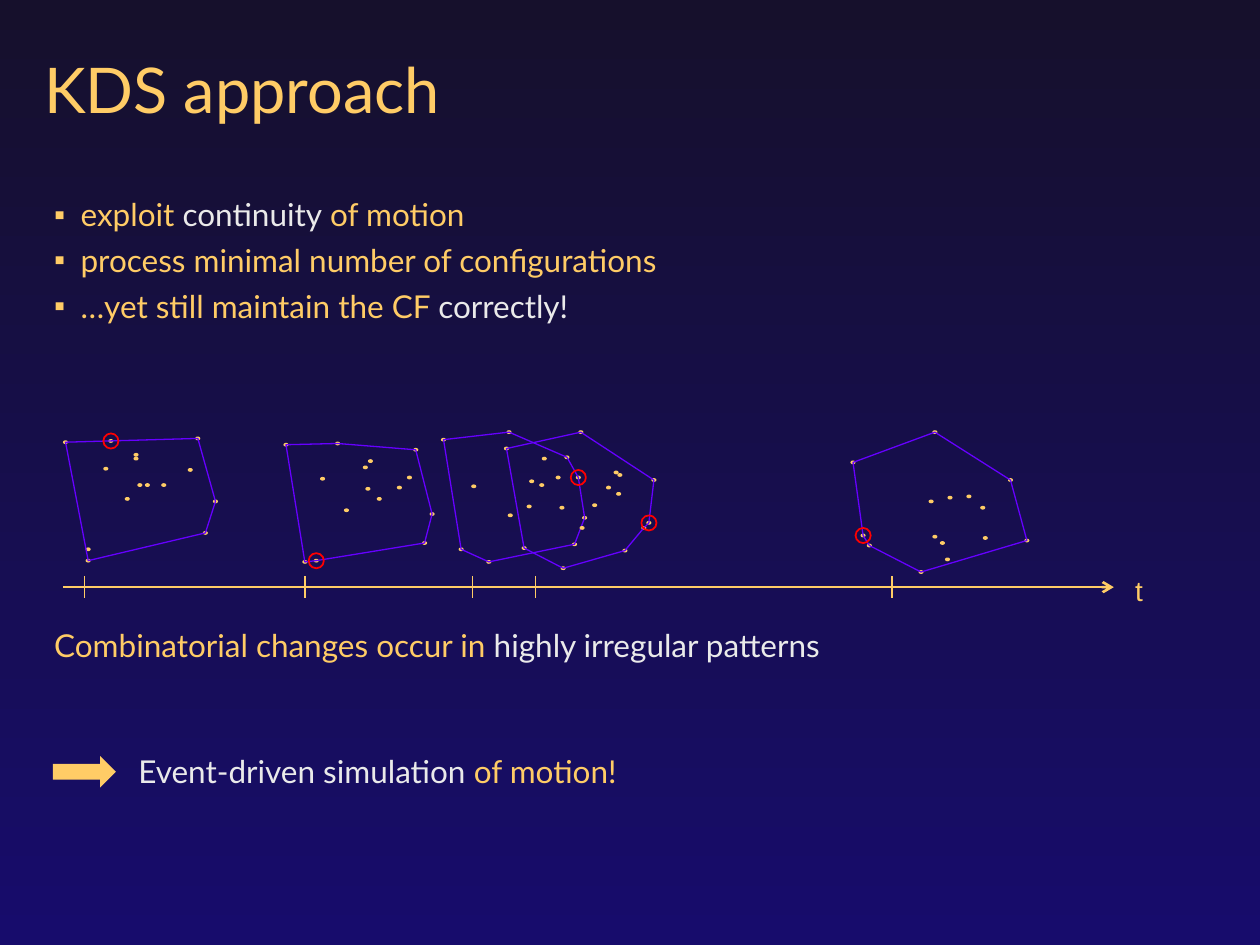
from lxml import etree
from pptx import Presentation, util as u
from pptx.dml.color import RGBColor
from pptx.enum import shapes, text
from pptx.oxml.ns import qn

GOLD = RGBColor(0xFF, 0xCC, 0x66)
PALE = RGBColor(0xEA, 0xEA, 0xEA)
VIOLET = RGBColor(0x66, 0x00, 0xFF)
RED = RGBColor(0xFF, 0x00, 0x00)
NIGHT = RGBColor(0x16, 0x10, 0x2C)
INDIGO = RGBColor(0x17, 0x0C, 0x6C)

TITLE = [[("KDS approach", GOLD)]]
GOALS = [
    [("exploit ", GOLD), ("continuity", PALE), (" of motion", GOLD)],
    [("process minimal number of configurations", GOLD)],
    [("…yet still maintain the CF ", GOLD), ("correctly!", PALE)],
]
FINDING = [[("Combinatorial changes occur in ", GOLD), ("highly irregular patterns", PALE)]]
CONCLUSION = [[("Event-driven simulation", PALE), (" of motion!", GOLD)]]

# Each event: time on the axis, hull corners, index of the changing corner, inner points
EVENTS = [
    dict(time=0.67, changing=1,
         hull=[(0.52, 3.51), (0.88, 3.5), (1.57, 3.48), (1.71, 3.98), (1.63, 4.23), (0.7, 4.45)],
         inner=[(1.51, 3.73), (0.7, 4.36), (1.3, 3.85), (1.08, 3.64), (1.17, 3.85),
                (1.11, 3.85), (1.01, 3.96), (0.84, 3.72), (1.08, 3.61)]),
    dict(time=2.42, changing=5,
         hull=[(2.27, 3.53), (2.68, 3.52), (3.3, 3.57), (3.43, 4.08), (3.37, 4.31),
               (2.51, 4.45), (2.42, 4.46)],
         inner=[(3.25, 3.79), (3.17, 3.87), (2.94, 3.66), (3.01, 3.96), (2.92, 3.88),
                (2.75, 4.05), (2.56, 3.8), (2.9, 3.71)]),
    dict(time=3.75, changing=3,
         hull=[(3.52, 3.49), (4.04, 3.43), (4.5, 3.63), (4.59, 3.79), (4.64, 4.11),
               (4.56, 4.32), (3.88, 4.46), (3.66, 4.36)],
         inner=[(4.43, 3.79), (4.32, 3.64), (4.46, 4.03), (4.3, 3.85), (4.05, 4.09),
                (3.76, 3.86), (4.22, 3.82)]),
    dict(time=4.25, changing=3,
         hull=[(4.02, 3.56), (4.61, 3.43), (5.19, 3.81), (5.15, 4.15), (5.11, 4.19),
               (4.96, 4.37), (4.47, 4.51), (4.16, 4.35)],
         inner=[(4.92, 3.77), (4.83, 3.87), (4.89, 3.75), (4.91, 3.92), (4.62, 4.19),
                (4.2, 4.02), (4.72, 4.01)]),
    dict(time=7.08, changing=6,
         hull=[(6.77, 3.67), (7.42, 3.43), (8.02, 3.81), (8.15, 4.29), (7.31, 4.54),
               (6.9, 4.33), (6.85, 4.25)],
         inner=[(7.54, 3.95), (7.82, 4.27), (7.52, 4.44), (7.39, 3.98), (7.69, 3.94),
                (7.8, 4.03), (7.48, 4.31), (7.42, 4.26)]),
]
AXIS_Y, AXIS_START, AXIS_END, TICK = 4.66, 0.5, 8.84, 0.17
DOT_W, DOT_H, RING = 0.04, 0.03, 0.12

prs = Presentation()
prs.slide_width, prs.slide_height = u.Inches(10), u.Inches(7.5)
s = prs.slides.add_slide(prs.slide_layouts.get_by_name("Two Content"))


def paint_background():
    fill = s.background.fill
    fill.gradient()
    fill.gradient_angle = 270
    for stop, color in zip(fill.gradient_stops, (NIGHT, INDIGO)):
        stop.color.rgb = color


def write(sp, box, paragraphs, size=18, font="Lato", bullet=None, gap=0, wrap=True,
          anchor=text.MSO_ANCHOR.TOP, align=text.PP_ALIGN.LEFT):
    sp.left, sp.top, sp.width, sp.height = map(u.Inches, box)
    tf = sp.text_frame
    tf.word_wrap, tf.auto_size, tf.vertical_anchor = wrap, text.MSO_AUTO_SIZE.NONE, anchor
    for i, runs in enumerate(paragraphs):
        p = tf.add_paragraph() if i else tf.paragraphs[0]
        p.alignment, p.line_spacing = align, 1.0
        p.space_before = u.Pt(gap if i else 0)
        pPr = p._p.get_or_add_pPr()
        indent = u.Inches(0.21) if bullet else 0
        pPr.set("marL", str(indent))
        pPr.set("indent", str(-indent))
        if bullet:
            etree.SubElement(pPr, qn("a:buChar")).set("char", bullet)
        else:
            etree.SubElement(pPr, qn("a:buNone"))
        for words, color in runs:
            r = p.add_run()
            r.text = words
            for name, value in dict(size=u.Pt(size), name=font).items():
                setattr(r.font, name, value)
            r.font.color.rgb = color


def style(sp, fill=None, line=None, width=1):
    sp.shadow.inherit = False
    if fill is None:
        sp.fill.background()
    else:
        sp.fill.solid()
        sp.fill.fore_color.rgb = fill
    if line is None:
        sp.line.fill.background()
    else:
        sp.line.color.rgb, sp.line.width = line, u.Pt(width)


def ellipse(center, w, h, **look):
    x, y = center
    sp = s.shapes.add_shape(shapes.MSO_SHAPE.OVAL, *map(u.Inches, (x - w / 2, y - h / 2, w, h)))
    style(sp, **look)


def line(x1, y1, x2, y2, width, arrow=False):
    c = s.shapes.add_connector(shapes.MSO_CONNECTOR.STRAIGHT, *map(u.Inches, (x1, y1, x2, y2)))
    c.line.color.rgb, c.line.width = GOLD, u.Pt(width)
    if arrow:
        etree.SubElement(c.line._get_or_add_ln(), qn("a:tailEnd")).set("type", "arrow")
    etree.SubElement(c._element.spPr, qn("a:effectLst"))


def draw_event(event):
    hull = event["hull"]
    line(event["time"], AXIS_Y - TICK / 2, event["time"], AXIS_Y + TICK / 2, 1)
    for point in hull + event["inner"]:
        ellipse(point, DOT_W, DOT_H, fill=GOLD)
    corners = [(u.Inches(x), u.Inches(y)) for x, y in hull]
    outline = s.shapes.build_freeform(*corners[0])
    outline.add_line_segments(corners[1:], close=True)
    style(outline.convert_to_shape(), line=VIOLET, width=0.75)
    ellipse(hull[event["changing"]], RING, RING, line=RED)


def text_box():
    return s.shapes.add_textbox(0, 0, 0, 0)


paint_background()
title, goals, finding = s.placeholders
write(title, (0.25, 0.33, 9.33, 0.75), TITLE, size=36, anchor=text.MSO_ANCHOR.MIDDLE)
write(goals, (0.33, 1.5, 9.33, 1.13), GOALS, bullet="▪", gap=4.5)
write(finding, (0.33, 4.92, 9.33, 0.42), FINDING)

line(AXIS_START, AXIS_Y, AXIS_END, AXIS_Y, 1.5, arrow=True)
write(text_box(), (8.9, 4.5, 0.28, 0.37), [[("t", GOLD)]], size=16, font="Arial", wrap=False,
      align=text.PP_ALIGN.CENTER)
for event in EVENTS:
    draw_event(event)

write(text_box(), (1, 5.92, 8.67, 0.4), CONCLUSION)
arrow = s.shapes.add_shape(shapes.MSO_SHAPE.RIGHT_ARROW, *map(u.Inches, (0.42, 6, 0.5, 0.25)))
style(arrow, fill=GOLD)

prs.save("out.pptx")
